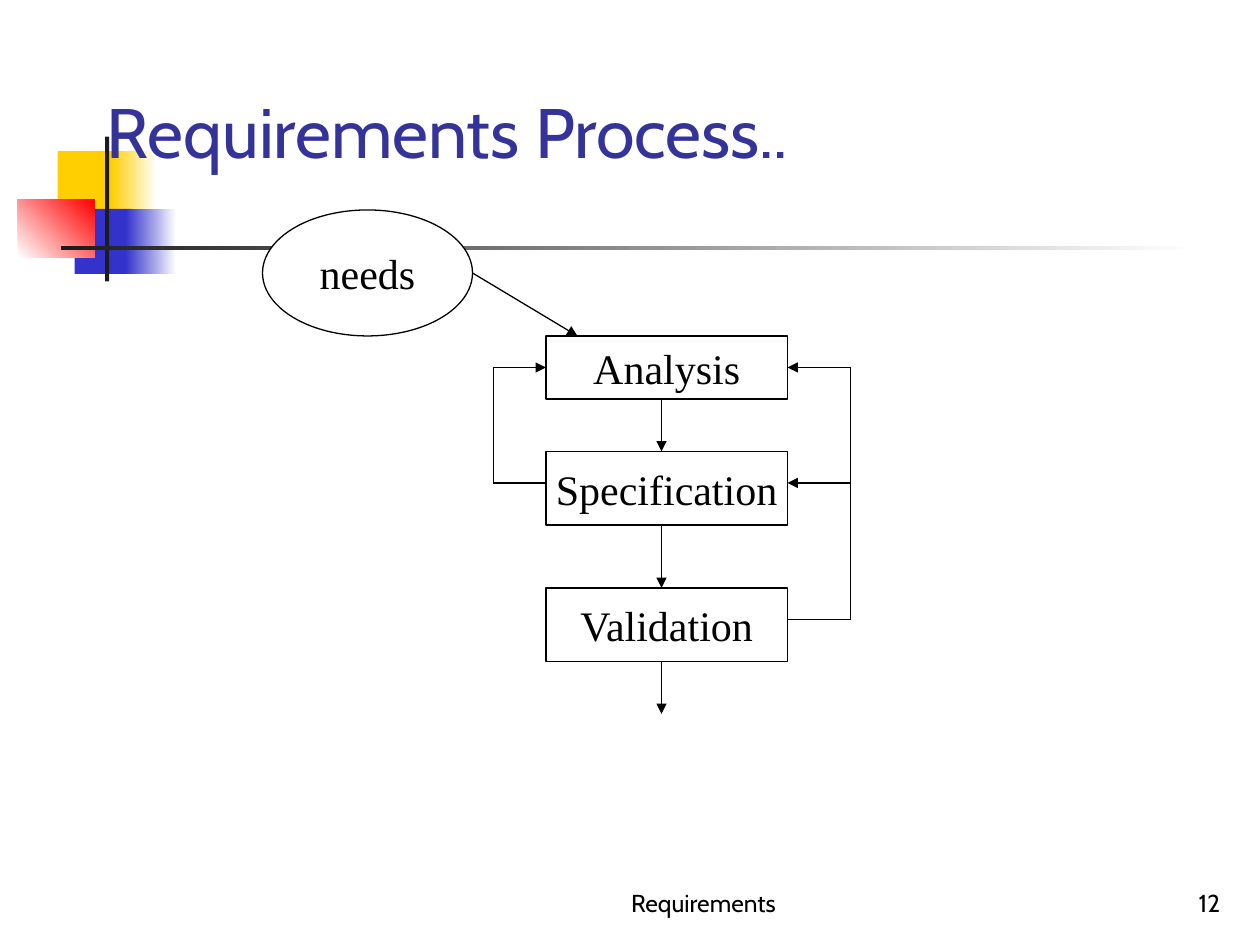
"""Build the Requirements Process slide on a grid of 120 columns by 90 rows."""
from lxml import etree
from pptx import Presentation
from pptx.dml.color import RGBColor
from pptx.enum.shapes import MSO_CONNECTOR as CONN, MSO_SHAPE as SHAPE
from pptx.enum.text import MSO_ANCHOR as ANCHOR, PP_ALIGN as ALIGN
from pptx.oxml.ns import qn
from pptx.util import Inches, Pt


def rgb(value):
    return RGBColor.from_string(value)


def write(sp, text, align, anchor, wrap, **font):
    tf = sp.text_frame
    for key, value in dict(word_wrap=wrap, vertical_anchor=anchor).items():
        setattr(tf, key, value)
    p = tf.paragraphs[0]
    p.alignment = align
    r = p.add_run()
    r.text = text
    r.font.color.rgb = rgb(font.pop("color", "000000"))
    for key, value in font.items():
        setattr(r.font, key, value)


prs = Presentation()
prs.slide_width, prs.slide_height = Inches(10), Inches(7.5)
COL, ROW = prs.slide_width / 120, prs.slide_height / 90
s = prs.slides.add_slide(prs.slide_layouts[6])

decor = [
    (5.5, 14.4, 5.8, 6.2, ["FFCF01"], 0),
    (10.6, 14.4, 4.3, 6.2, ["FFCF01", "FFFFFF"], 0),
    (7.1, 19.9, 5.5, 6.2, ["3333CC"], 0),
    (12, 19.9, 4.8, 6.2, ["3333CC", "FFFFFF"], 0),
    (1.7, 19, 7.3, 5.5, ["FFFFFF", "FF0000"], 45),
    (10, 13, 0.4, 13.8, ["1C1C1C"], 0),
    (5.8, 23.4, 108, 0.4, ["1C1C1C", "FFFFFF"], 0),
]
for x, y, w, h, colors, angle in decor:
    sp = s.shapes.add_shape(SHAPE.RECTANGLE, int(x * COL), int(y * ROW), int(w * COL), int(h * ROW))
    sp.shadow.inherit = False
    sp.line.fill.background()
    if len(colors) == 1:
        sp.fill.solid()
        sp.fill.fore_color.rgb = rgb(colors[0])
    else:
        sp.fill.gradient()
        sp.fill.gradient_angle = angle
        for stop, color in zip(sp.fill.gradient_stops, colors):
            stop.color.rgb = rgb(color)

labels = [
    (48, 82, 38, 6, "Requirements", ALIGN.CENTER, 14, "000000"),
    (92.4, 82, 25, 6, "12", ALIGN.RIGHT, 14, "000000"),
    (9, 5, 102, 12, "Requirements Process..", ALIGN.LEFT, 40, "333399"),
]
for x, y, w, h, text, align, size, color in labels:
    sp = s.shapes.add_textbox(int(x * COL), int(y * ROW), int(w * COL), int(h * ROW))
    write(sp, text, align, ANCHOR.BOTTOM, True, size=Pt(size), name="Cabin", color=color)

steps = {}
for text, kind, x, y, w, h in [
    ("needs", SHAPE.OVAL, 25, 20, 20, 12),
    ("Analysis", SHAPE.RECTANGLE, 52, 32, 23, 6),
    ("Specification", SHAPE.RECTANGLE, 52, 43, 23, 7),
    ("Validation", SHAPE.RECTANGLE, 52, 56, 23, 7),
]:
    sp = s.shapes.add_shape(kind, int(x * COL), int(y * ROW), int(w * COL), int(h * ROW))
    sp.shadow.inherit = False
    sp.fill.solid()
    sp.fill.fore_color.rgb = rgb("FFFFFF")
    sp.line.color.rgb = rgb("000000")
    sp.line.width = Pt(0.75)
    write(sp, text, ALIGN.CENTER, ANCHOR.MIDDLE, False, size=Pt(24), name="Times New Roman")
    steps[text] = sp

for x1, y1, x2, y2, arrow, side in [
    (63, 63, 63, 68, True, None),
    (63, 38, 63, 43, True, None),
    (63, 50, 63, 56, True, None),
    (45, 26, 55, 32, True, None),
    (52, 46, 47, 46, False, None),
    (47, 46, 47, 35, False, None),
    (47, 35, 52, 35, True, 1),
    (75, 59, 81, 59, False, None),
    (81, 59, 81, 35, False, None),
    (81, 46, 75, 46, True, None),
    (81, 35, 75, 35, True, 3),
]:
    line = s.shapes.add_connector(CONN.STRAIGHT, int(x1 * COL), int(y1 * ROW), int(x2 * COL), int(y2 * ROW))
    line.line.color.rgb = rgb("000000")
    line.line.width = Pt(0.75)
    if side is not None:
        line.end_connect(steps["Analysis"], side)
    if arrow:
        etree.SubElement(line.line._get_or_add_ln(), qn("a:tailEnd"), type="triangle")
    etree.SubElement(line._element.spPr, qn("a:effectLst"))

prs.save("out.pptx")
